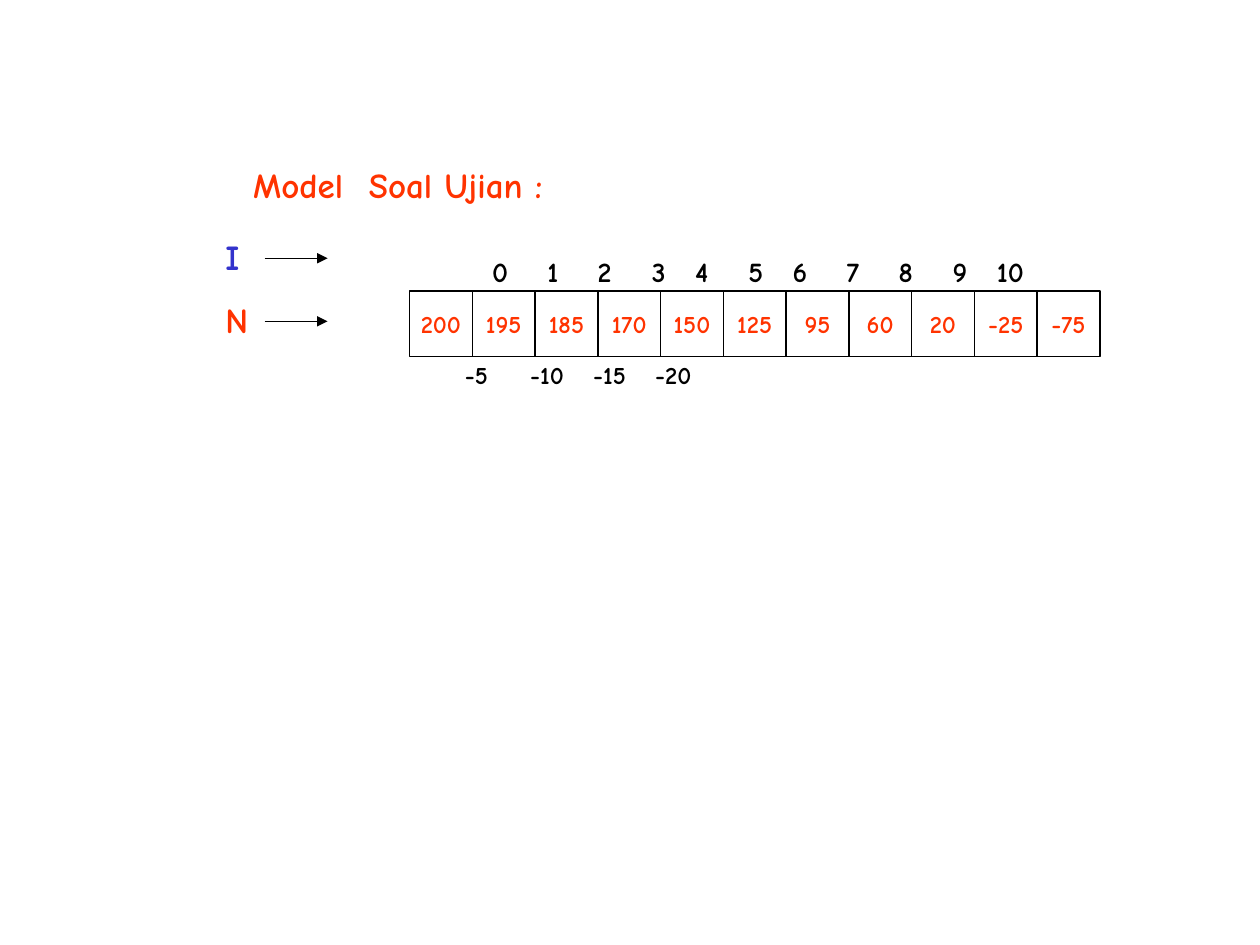
"""Build the exam question slide with a number sequence and its differences."""
from lxml import etree
from pptx import Presentation
from pptx import util as u
from pptx.dml.color import RGBColor
from pptx.enum import shapes, text
from pptx.oxml import ns

COLORS = {"red": "FF3300", "blue": "3333CC", "black": "000000"}
VALUES = [200, 195, 185, 170, 150, 125, 95, 60, 20, -25, -75]
INDEX_CENTERS = [0.14, 0.56, 0.97, 1.4, 1.74, 2.17, 2.52, 2.94, 3.36, 3.79, 4.19]
DIFFERENCES = [("-5", 3.59, 0.38), ("-10", 4.11, 0.47),
               ("-15", 4.61, 0.46), ("-20", 5.1, 0.49)]
ROWS = [("I", "blue", 0.31, 2.05), ("N", "red", 0.38, 2.55)]
CELL_TOP, CELL_WIDTH, CELL_HEIGHT = 2.31, 0.5, 0.52
CELL_LEFT, CELL_PITCH = 3.25, 4.98 / 10


class SlideBuilder:
    """Hold the style and the current slide."""

    def __init__(self, slide):
        self.slide = slide
        self.font = {"name": "Comic Neue", "bold": True}
        self.line_width = u.Pt(0.75)

    def color(self, name):
        return RGBColor.from_string(COLORS[name])

    def outline(self, line):
        line.color.rgb = self.color("black")
        line.width = self.line_width

    def add_text(self, shape, content, size, color, frame_format, align, tabs=()):
        frame = shape.text_frame
        for name, value in frame_format.items():
            setattr(frame, name, value)
        paragraph = frame.paragraphs[0]
        paragraph.alignment = align
        if tabs:
            properties = paragraph._p.get_or_add_pPr()
            tab_list = etree.SubElement(properties, ns.qn("a:tabLst"))
            for position, kind in tabs:
                tab = etree.SubElement(tab_list, ns.qn("a:tab"))
                tab.set("pos", str(int(u.Inches(position))))
                tab.set("algn", kind)
        run = paragraph.add_run()
        run.text = content
        for name, value in {**self.font, "size": u.Pt(size)}.items():
            setattr(run.font, name, value)
        run.font.color.rgb = self.color(color)

    def label(self, content, left, top, width, height, size, color, tabs=()):
        box = self.slide.shapes.add_textbox(*map(u.Inches, (left, top, width, height)))
        self.add_text(box, content, size, color, {"word_wrap": bool(tabs)},
                      text.PP_ALIGN.LEFT, tabs)

    def cell(self, content, left):
        shape = self.slide.shapes.add_shape(
            shapes.MSO_SHAPE.RECTANGLE,
            *map(u.Inches, (left, CELL_TOP, CELL_WIDTH, CELL_HEIGHT)))
        shape.shadow.inherit = False
        shape.fill.background()
        self.outline(shape.line)
        self.add_text(shape, content, 14, "red",
                      {"word_wrap": False, "vertical_anchor": text.MSO_ANCHOR.MIDDLE},
                      text.PP_ALIGN.CENTER)

    def arrow(self, start, end, y):
        connector = self.slide.shapes.add_connector(
            shapes.MSO_CONNECTOR.STRAIGHT, *map(u.Inches, (start, y, end, y)))
        self.outline(connector.line)
        properties = connector._element.spPr
        line = properties.find(ns.qn("a:ln"))
        etree.SubElement(line, ns.qn("a:tailEnd")).set("type", "triangle")
        etree.SubElement(properties, ns.qn("a:effectLst"))


def main():
    presentation = Presentation()
    presentation.slide_width, presentation.slide_height = u.Inches(10), u.Inches(7.5)
    builder = SlideBuilder(presentation.slides.add_slide(presentation.slide_layouts[6]))

    builder.label("Model\tSoal Ujian :", 1.91, 1.25, 2.55, 0.44, 20, "red",
                  [(0.92, "l")])
    for name, color, width, y in ROWS:
        builder.arrow(2.1, 2.6, y)
        builder.label(name, 1.69, y - 0.23, width, 0.44, 20, color)

    for position, value in enumerate(VALUES):
        builder.cell(str(value), CELL_LEFT + position * CELL_PITCH)
    indexes = "".join(f"\t{index}" for index in range(len(VALUES)))
    builder.label(indexes, 3.73, 1.97, 4.59, 0.37, 16, "black",
                  [(center, "ctr") for center in INDEX_CENTERS])
    for content, left, width in DIFFERENCES:
        builder.label(content, left, 2.81, width, 0.34, 14, "black")

    presentation.save("out.pptx")


if __name__ == "__main__":
    main()
